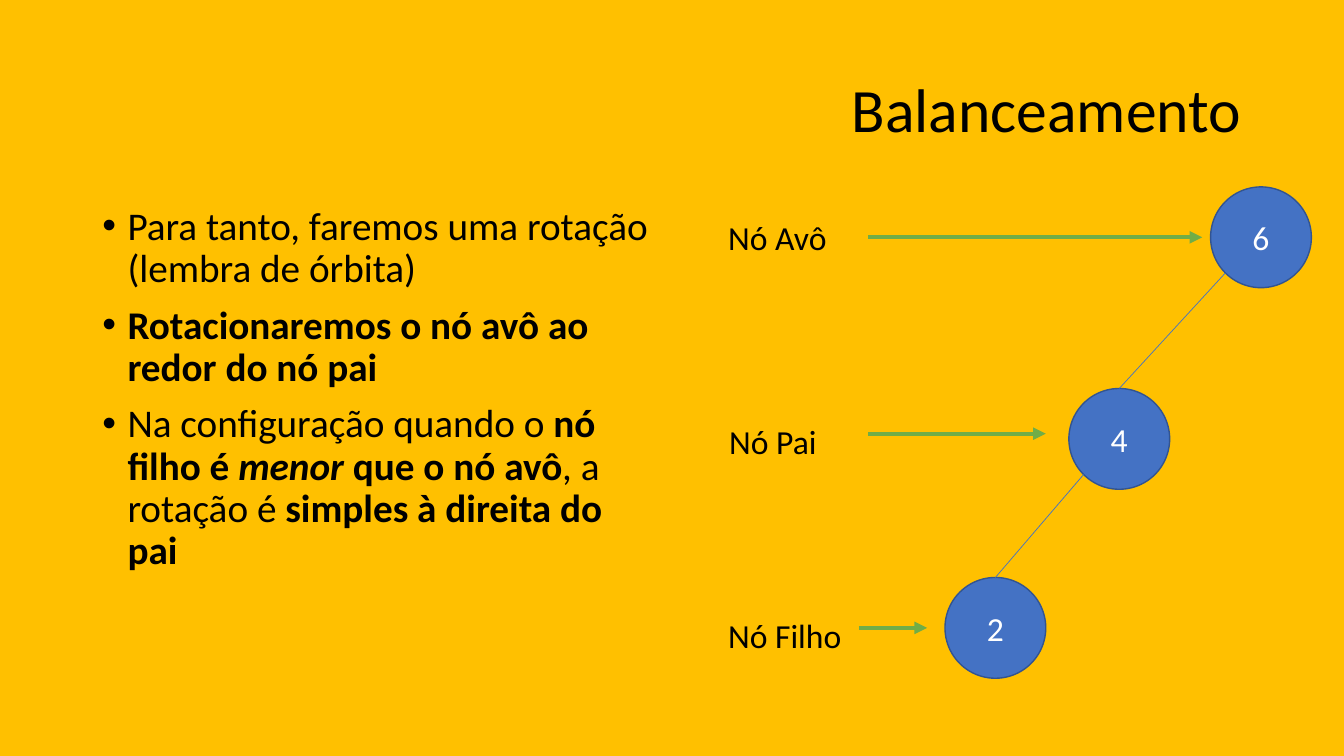
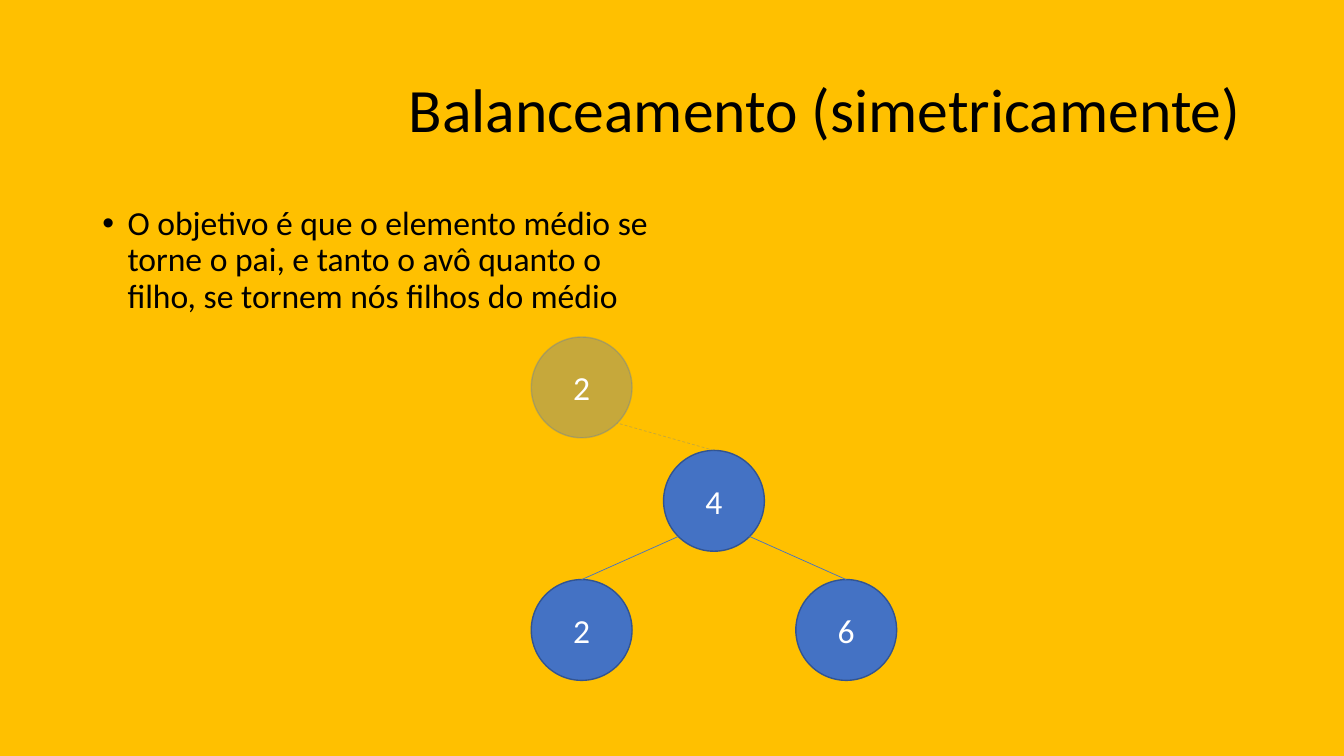
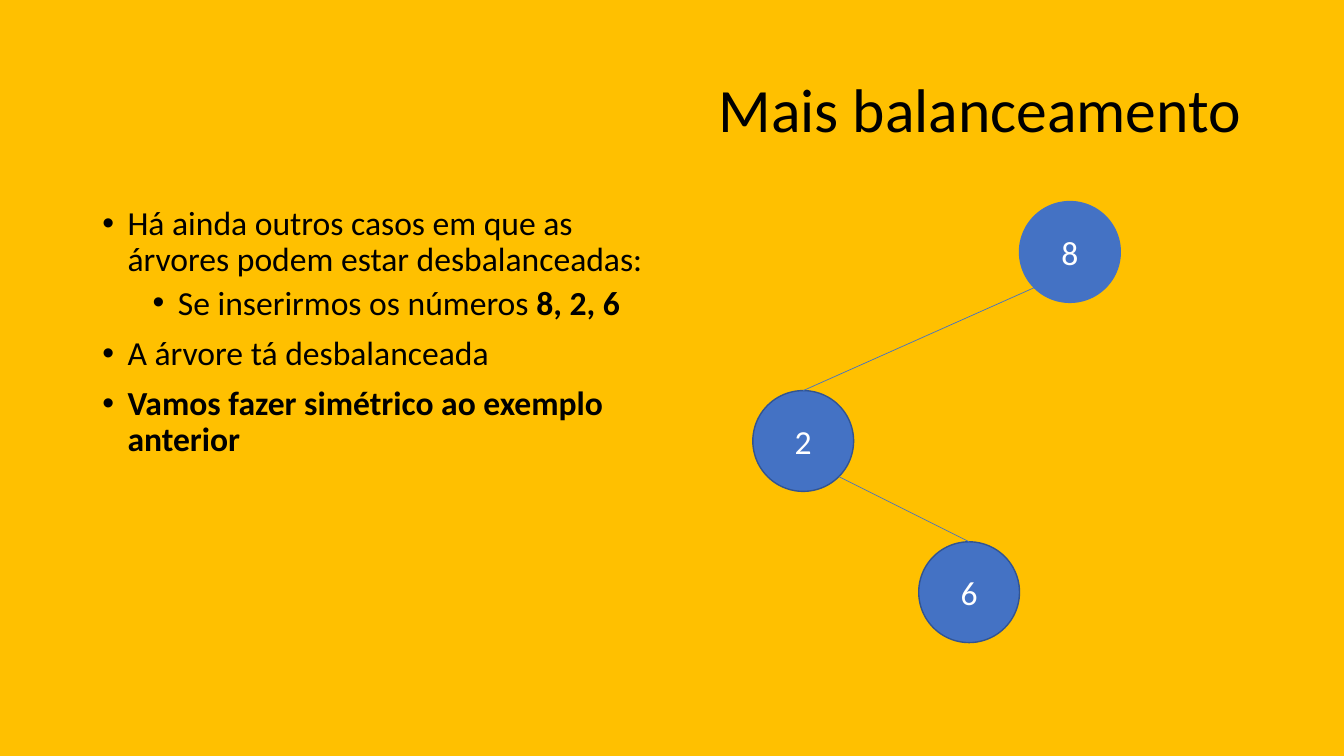
import math

from lxml import etree
from pptx import Presentation
from pptx import util as u
from pptx.dml.color import RGBColor
from pptx.enum import dml, shapes, text
from pptx.oxml.ns import qn

PX = 9525  # EMU in one pixel at 96 pixels to the inch
FONT = "Calibri"
BACKGROUND = "FFC000"
INK = "000000"
WHITE = "FFFFFF"
BLUE = "4472C4"
DARK_BLUE = "325491"
GREEN = "70AD47"

NODE_SIZE = 96
INDENT = 24
TITLE_BOX = (88, 38, 1104, 139)
BODY_BOX = (88, 192, 544, 457)


def px(length):
    return u.Emu(round(length * PX))


def color(hex_string):
    return RGBColor.from_string(hex_string)


def set_opacity(shape, percent):
    """Make every colour of the shape's fill and line partly transparent."""
    for element in shape.element.spPr.iter(qn("a:srgbClr")):
        etree.SubElement(element, qn("a:alpha"), val=str(percent * 1000))


def add_run(paragraph, words, size, ink=INK, style=""):
    """Add a run; style may hold "b" for bold and "i" for italic."""
    run = paragraph.add_run()
    run.text = words
    run.font.name = FONT
    run.font.size = u.Pt(size)
    run.font.bold = "b" in style
    run.font.italic = "i" in style
    run.font.color.rgb = color(ink)


def add_text_frame(slide, box, wrap=True):
    frame = slide.shapes.add_textbox(*map(px, box)).text_frame
    frame.word_wrap = wrap
    return frame


def add_title(slide, words):
    frame = add_text_frame(slide, TITLE_BOX)
    frame.vertical_anchor = text.MSO_ANCHOR.MIDDLE
    paragraph = frame.paragraphs[0]
    paragraph.alignment = text.PP_ALIGN.RIGHT
    paragraph.line_spacing = 0.9
    add_run(paragraph, words, 44)


def add_bullets(slide, size, items):
    """Fill the body; each item is a level and a list of (words, style) runs."""
    frame = add_text_frame(slide, BODY_BOX)
    for index, (level, runs) in enumerate(items):
        paragraph = frame.add_paragraph() if index else frame.paragraphs[0]
        paragraph.level = level
        paragraph.line_spacing = 0.9
        paragraph.space_before = u.Pt(5 if level else 10)
        properties = paragraph._p.get_or_add_pPr()
        properties.set("marL", str(px(INDENT * (1 + 2 * level))))
        properties.set("indent", str(px(-INDENT)))
        etree.SubElement(properties, qn("a:buFont"), typeface="Arial")
        etree.SubElement(properties, qn("a:buChar"), char="•")
        for words, style in runs:
            add_run(paragraph, words, size, style=style)


def add_label(slide, left, top, width, words):
    frame = add_text_frame(slide, (left, top, width, 48), wrap=False)
    frame.auto_size = text.MSO_AUTO_SIZE.SHAPE_TO_FIT_TEXT
    add_run(frame.paragraphs[0], words, 24)


def add_node(slide, left, top, value, outline=DARK_BLUE, opacity=None):
    node = slide.shapes.add_shape(
        shapes.MSO_SHAPE.OVAL, *map(px, (left, top, NODE_SIZE, NODE_SIZE)))
    node.shadow.inherit = False
    node.fill.solid()
    node.fill.fore_color.rgb = color(BLUE)
    node.line.color.rgb = color(outline)
    node.line.width = u.Pt(1)
    if opacity:
        set_opacity(node, opacity)
    node.text_frame.vertical_anchor = text.MSO_ANCHOR.MIDDLE
    paragraph = node.text_frame.paragraphs[0]
    paragraph.alignment = text.PP_ALIGN.CENTER
    add_run(paragraph, value, 24, WHITE)
    return node


def add_line(slide, start, end, ink, width):
    """Draw a straight connector between two points given in EMU."""
    line = slide.shapes.add_connector(shapes.MSO_CONNECTOR.STRAIGHT, *start, *end)
    etree.SubElement(line.element.spPr, qn("a:effectLst"))
    line.line.color.rgb = color(ink)
    line.line.width = u.Pt(width)
    return line


def add_edge(slide, parent, child, opacity=None):
    """Join the child's top to the lower diagonal point of the parent's circle."""
    radius = parent.width / 2
    reach = radius * math.sqrt(0.5)
    side = -1 if child.left < parent.left else 1
    start = (child.left + child.width // 2, child.top)
    end = (round(parent.left + radius + side * reach),
           round(parent.top + radius + reach))
    edge = add_line(slide, start, end, BLUE, 0.5)
    edge.begin_connect(child, 0)
    if opacity:
        edge.line.dash_style = dml.MSO_LINE.DASH
        set_opacity(edge, opacity)


def add_arrow(slide, left, right, y):
    arrow = add_line(slide, (px(left), px(y)), (px(right), px(y)), GREEN, 3)
    etree.SubElement(arrow.line._get_or_add_ln(), qn("a:tailEnd"), type="triangle")


def add_slide(presentation, title):
    slide = presentation.slides.add_slide(presentation.slide_layouts[6])
    add_title(slide, title)
    return slide


def build_rotation(presentation):
    slide = add_slide(presentation, "Balanceamento")
    add_bullets(slide, 28, [
        (0, [("Para tanto, faremos uma rotação (lembra de órbita)", "")]),
        (0, [("Rotacionaremos o nó avô ao redor do nó pai", "b")]),
        (0, [("Na configuração quando o ", ""), ("nó filho é ", "b"),
             ("menor", "bi"), (" que o nó avô", "b"), (", a rotação é ", ""),
             ("simples à direita do pai", "b")]),
    ])
    grandparent = add_node(slide, 1153, 178, "6")
    parent = add_node(slide, 1018, 370, "4")
    child = add_node(slide, 900, 550, "2")
    add_edge(slide, grandparent, parent)
    add_edge(slide, parent, child)
    add_arrow(slide, 818, 883, 598)
    add_arrow(slide, 827, 996, 413)
    add_arrow(slide, 827, 1145, 226)
    add_label(slide, 684, 581, 128, "Nó Filho")
    add_label(slide, 685, 396, 104, "Nó Pai")
    add_label(slide, 684, 202, 114, "Nó Avô")


def build_symmetric(presentation):
    slide = add_slide(presentation, "Balanceamento (simetricamente)")
    add_bullets(slide, 24, [
        (0, [("O objetivo é que o elemento médio se torne o pai, e tanto o avô "
              "quanto o filho, se tornem nós filhos do médio", "")]),
    ])
    right = add_node(slide, 758, 552, "6")
    root = add_node(slide, 632, 429, "4")
    old_root = add_node(slide, 506, 321, "2", outline=BLUE, opacity=30)
    left = add_node(slide, 506, 552, "2")
    add_edge(slide, root, right)
    add_edge(slide, old_root, root, opacity=30)
    add_edge(slide, root, left)


def build_other_case(presentation):
    slide = add_slide(presentation, "Mais balanceamento")
    add_bullets(slide, 24, [
        (0, [("Há ainda outros casos em que as árvores podem estar "
              "desbalanceadas:", "")]),
        (1, [("Se inserirmos os números ", ""), ("8, 2, 6", "b")]),
        (0, [("A árvore tá desbalanceada", "")]),
        (0, [("Vamos fazer simétrico ao exemplo anterior", "b")]),
    ])
    parent = add_node(slide, 717, 372, "2")
    grandparent = add_node(slide, 971, 192, "8", outline=BLUE)
    child = add_node(slide, 875, 516, "6")
    add_edge(slide, grandparent, parent)
    add_edge(slide, parent, child)


def main():
    presentation = Presentation()
    presentation.slide_width = px(1280)
    presentation.slide_height = px(720)
    background = presentation.slide_master.background.fill
    background.solid()
    background.fore_color.rgb = color(BACKGROUND)
    build_rotation(presentation)
    build_symmetric(presentation)
    build_other_case(presentation)
    presentation.save("out.pptx")


if __name__ == "__main__":
    main()
